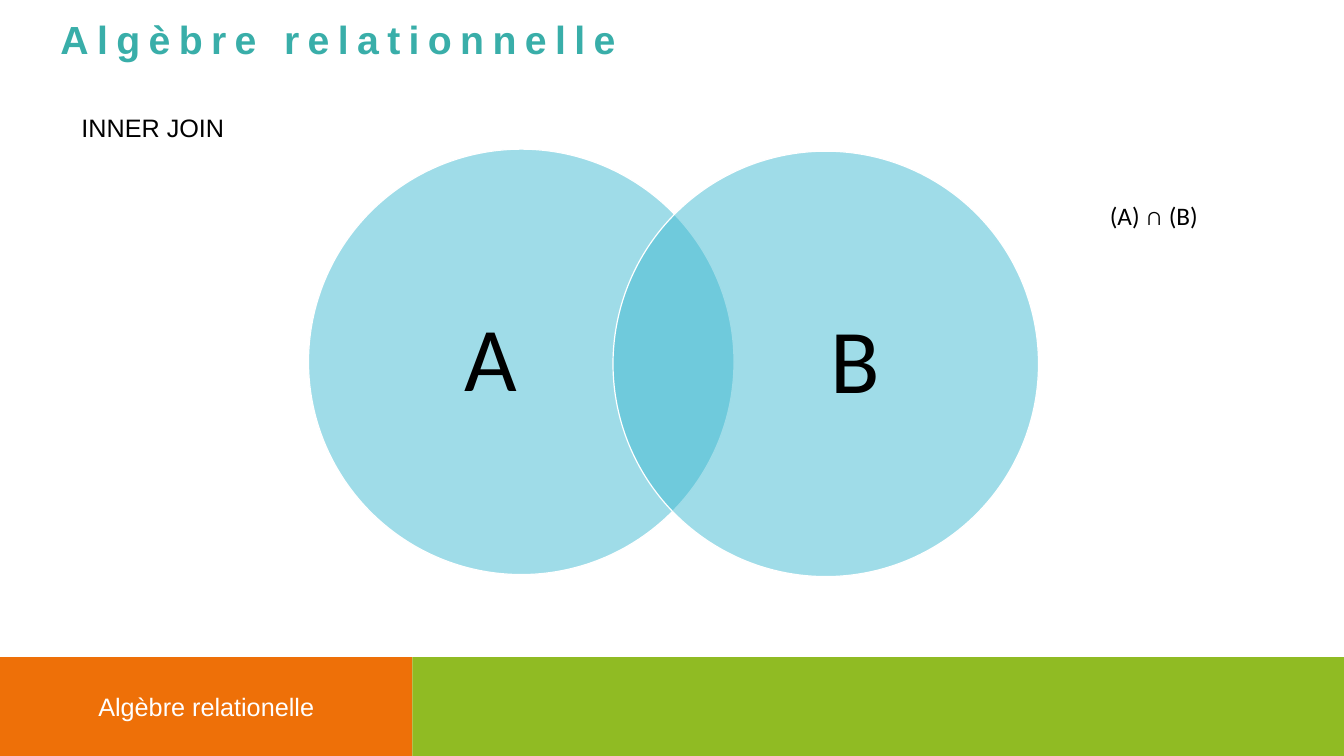
import pptx
import pptx.util
import pptx.dml.color
from dataclasses import dataclass
from lxml import etree
from pptx.enum.shapes import MSO_SHAPE
from pptx.enum.text import MSO_ANCHOR, MSO_AUTO_SIZE, PP_ALIGN
from pptx.oxml.ns import qn
from pptx.util import Inches


@dataclass(frozen=True)
class Theme:
    teal: str = "39AEA9"
    sky: str = "40BAD2"
    orange: str = "EE7008"
    green: str = "90BB23"
    white: str = "FFFFFF"
    black: str = "000000"
    head: str = "Arial"
    body: str = "Calibri"
    title: int = 28
    text: int = 18
    letter: int = 65


theme = Theme()
rgb = pptx.dml.color.RGBColor.from_string


def write(shape, text, font, size, color, align=PP_ALIGN.LEFT, inset=(0, 0)):
    """Put one styled line in a shape, with (side, top and bottom) insets in inches."""
    frame = shape.text_frame
    frame.text = text
    frame.auto_size = MSO_AUTO_SIZE.NONE
    frame.margin_left = frame.margin_right = Inches(inset[0])
    frame.margin_top = frame.margin_bottom = Inches(inset[1])
    para = frame.paragraphs[0]
    para.alignment = align
    run = para.runs[0]
    run.font.name = font
    run.font.size = pptx.util.Pt(size)
    run.font.color.rgb = rgb(color)
    return para


def draw(kind, left, top, width, height, color):
    shape = slide.shapes.add_shape(
        kind, Inches(left), Inches(top), Inches(width), Inches(height))
    shape.shadow.inherit = False
    shape.fill.solid()
    shape.fill.fore_color.rgb = rgb(color)
    shape.line.fill.background()
    return shape


deck = pptx.Presentation()
deck.slide_width, deck.slide_height = Inches(13.33), Inches(7.5)
slide = deck.slides.add_slide(deck.slide_layouts[5])

# Title
title = slide.shapes.title
title.left, title.top = Inches(0.6), Inches(0.27)
title.width, title.height = Inches(6.46), Inches(0.35)
para = write(title, "Algèbre relationnelle", theme.head, theme.title, theme.teal)
title.text_frame.vertical_anchor = MSO_ANCHOR.TOP
para.line_spacing = pptx.util.Pt(25)
para.runs[0].font.bold = True
para.runs[0].font._element.set("spc", "600")

# Footer bands
split, top = 4.09, 6.52
band = draw(MSO_SHAPE.RECTANGLE, 0, top, split, 7.5 - top, theme.orange)
write(band, "Algèbre relationelle", theme.head, theme.text, theme.white,
      PP_ALIGN.CENTER, (0.1, 0.05))
band.text_frame.vertical_anchor = MSO_ANCHOR.MIDDLE
draw(MSO_SHAPE.RECTANGLE, split, top, 13.33 - split, 7.5 - top, theme.green)

# Venn diagram: circle left and top, then the left of its letter
for name, left, top, inner in (("A", 3.06, 1.48, 3.65), ("B", 6.08, 1.5, 7.27)):
    disc = draw(MSO_SHAPE.OVAL, left, top, 4.22, 4.22, theme.sky)
    tint = disc.fill._xPr.find(qn("a:solidFill"))[0]
    etree.SubElement(tint, qn("a:alpha"), val="50000")
    disc.line.color.rgb = rgb(theme.white)
    disc.line.width = pptx.util.Pt(0.85)
    box = slide.shapes.add_textbox(
        Inches(inner), Inches(top + 0.5), Inches(2.43), Inches(3.22))
    box.text_frame.word_wrap = True
    box.text_frame.vertical_anchor = MSO_ANCHOR.MIDDLE
    para = write(box, name, theme.body, theme.letter, theme.black, PP_ALIGN.CENTER)
    para.line_spacing = 0.9

# Captions
for text, font, left, top, width in (
        ("INNER JOIN", theme.head, 0.71, 1.07, 1.63),
        ("(A) ∩ (B)", theme.body, 10.91, 1.94, 1.27)):
    box = slide.shapes.add_textbox(
        Inches(left), Inches(top), Inches(width), Inches(0.4))
    write(box, text, font, theme.text, theme.black, inset=(0.1, 0.05))

deck.save("out.pptx")
